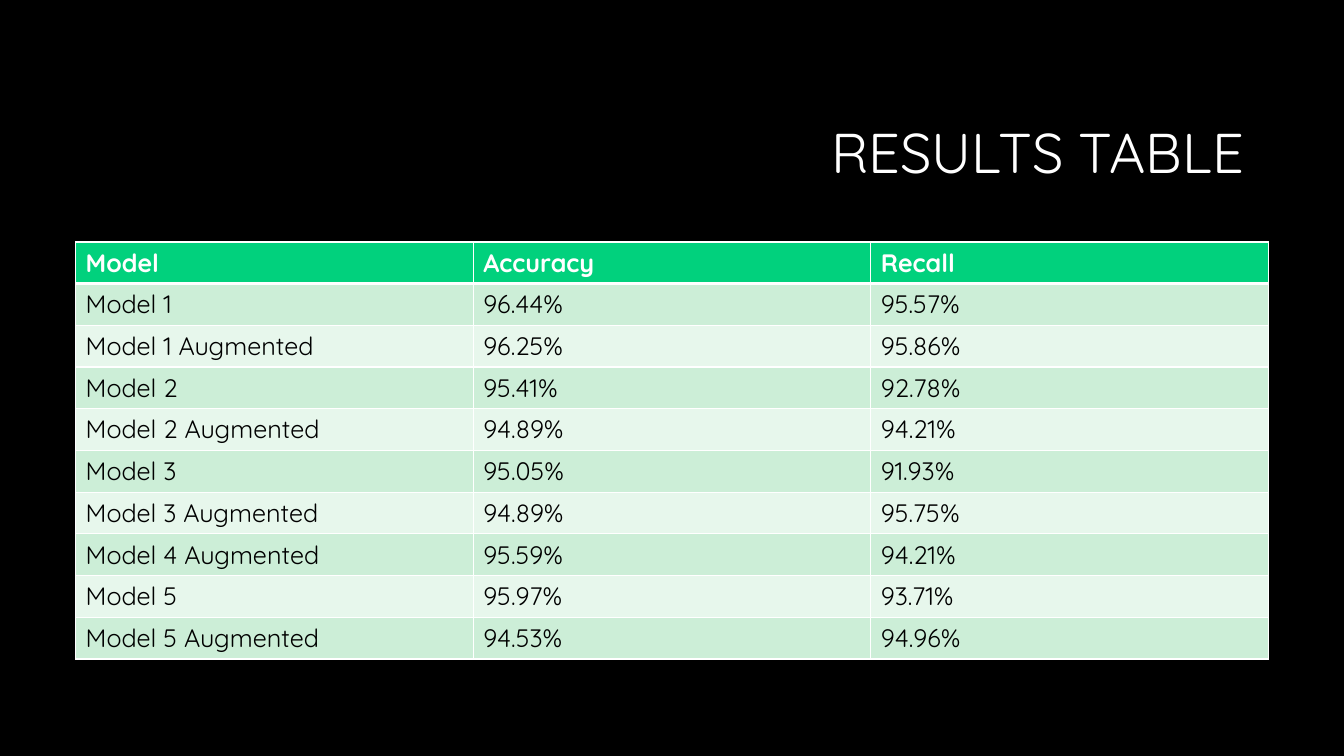
from lxml import etree
from pptx import Presentation
from pptx import util as u
from pptx.dml.color import RGBColor
from pptx.enum import text
from pptx.oxml.ns import qn

HUES = {"back": "000000", "white": "FFFFFF", "ink": "000000",
        "head": "01D17D", "odd": "CCEED7", "even": "E7F7EC"}
ROWS = [
    ("Model", "Accuracy ", "Recall"),
    ("Model 1", "96.44%", "95.57%"),
    ("Model 1 Augmented", "96.25%", "95.86%"),
    ("Model 2 ", "95.41%", "92.78%"),
    ("Model 2 Augmented", "94.89%", "94.21%"),
    ("Model 3 ", "95.05%", "91.93%"),
    ("Model 3 Augmented", "94.89%", "95.75%"),
    ("Model 4 Augmented", "95.59%", "94.21%"),
    ("Model 5", "95.97%", "93.71%"),
    ("Model 5 Augmented", "94.53%", "94.96%"),
]


class Deck:
    """Holds the style and the current slide."""

    font = "Quicksand"

    def __init__(self):
        """Open a wide deck with one title-only slide."""
        self.show = Presentation()
        self.show.slide_width = u.Inches(13.33)
        self.show.slide_height = u.Inches(7.5)
        self.slide = self.show.slides.add_slide(self.show.slide_layouts[5])
        self.paint(self.slide.background.fill, "back")

    def paint(self, fill, hue):
        """Make a fill solid in a named colour."""
        fill.solid()
        fill.fore_color.rgb = RGBColor.from_string(HUES[hue])

    def add_run(self, para, words, size, hue, bold=False):
        """Add one styled run to a paragraph."""
        run = para.add_run()
        run.text = words
        run.font.name = self.font
        run.font.size = u.Pt(size)
        run.font.bold = bold
        run.font.color.rgb = RGBColor.from_string(HUES[hue])

    def title(self, words, box):
        """Place and fill the title."""
        head = self.slide.shapes.title
        head.left, head.top, head.width, head.height = map(u.Inches, box)
        frame = head.text_frame
        frame.word_wrap = True
        frame.auto_size = text.MSO_AUTO_SIZE.NONE
        frame.vertical_anchor = text.MSO_ANCHOR.MIDDLE
        para = frame.paragraphs[0]
        para.alignment = text.PP_ALIGN.RIGHT
        para.line_spacing = 0.9
        self.add_run(para, words, 40, "white")

    def edge(self, cell, side, width):
        """Draw one white cell border."""
        props = cell._tc.get_or_add_tcPr()
        line = etree.SubElement(props, qn("a:ln" + side), w=str(u.Pt(width)))
        fill = etree.SubElement(line, qn("a:solidFill"))
        etree.SubElement(fill, qn("a:srgbClr"), val=HUES["white"])

    def table(self, rows, box):
        """Add a banded table with a header row."""
        grid = self.slide.shapes.add_table(
            len(rows), len(rows[0]), *map(u.Inches, box)).table
        for r, row in enumerate(rows):
            top = r == 0
            band = "head" if top else "odd" if r % 2 else "even"
            for c, words in enumerate(row):
                cell = grid.cell(r, c)
                # Borders come before the fill in the cell's XML.
                for side in "LRTB":
                    thick = (r, side) in ((0, "B"), (1, "T"))
                    self.edge(cell, side, 3 if thick else 1)
                self.paint(cell.fill, band)
                self.add_run(cell.text_frame.paragraphs[0], words, 18,
                             "white" if top else "ink", top)


deck = Deck()
deck.title("RESULTS TABLE ", (3.17, 0.84, 9.42, 1.41))
deck.table(ROWS, (0.75, 2.4, 11.83, 4.06))
deck.show.save("out.pptx")
